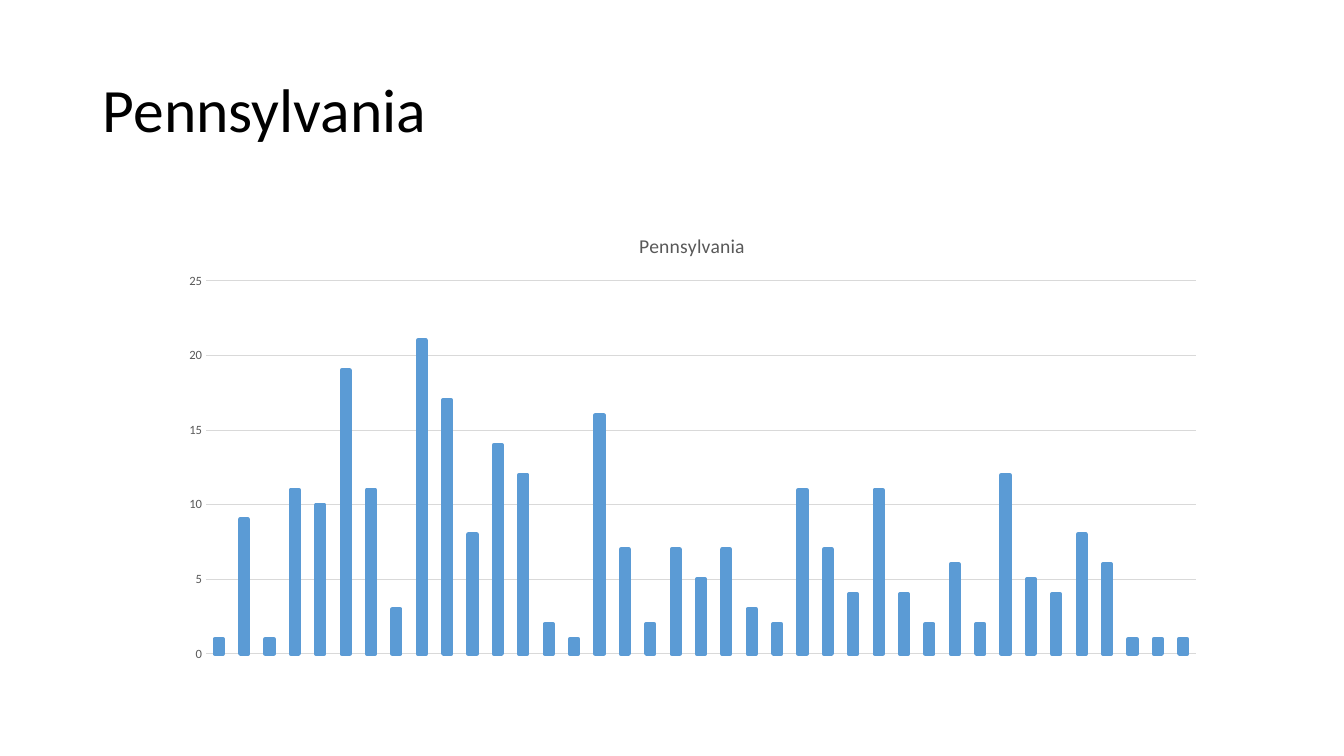
from lxml.etree import SubElement
from pptx import Presentation
from pptx.chart.data import CategoryChartData
from pptx.dml.color import RGBColor
from pptx.enum.chart import XL_CHART_TYPE, XL_TICK_MARK
from pptx.enum.text import MSO_ANCHOR
from pptx.oxml.ns import qn
from pptx.util import Pt

EMU_PER_PX = 914400 / 100.8
COLOURS = {"black": "000000", "grey": "595959", "grid": "D9D9D9", "bar": "5B9BD5"}
STATE = "Pennsylvania"
COUNTS = [1, 9, 1, 11, 10, 19, 11, 3, 21, 17, 8, 14, 12, 2, 1, 16, 7, 2, 7, 5,
          7, 3, 2, 11, 7, 4, 11, 4, 2, 6, 2, 12, 5, 4, 8, 6, 1, 1, 1]


def px(length):
    return round(length * EMU_PER_PX)


def colour(name):
    return RGBColor.from_string(COLOURS[name])


def style_font(font, size, name, face="Calibri"):
    font.size = Pt(size)
    font.name = face
    font.bold = False
    font.color.rgb = colour(name)


def write_text(frame, text, size, name, spacing=None):
    paragraph = frame.paragraphs[0]
    paragraph.line_spacing = spacing
    run = paragraph.add_run()
    run.text = text
    style_font(run.font, size, name)


class Deck:
    def __init__(self, width, height):
        self.presentation = Presentation()
        self.presentation.slide_width = px(width)
        self.presentation.slide_height = px(height)
        blank = self.presentation.slide_layouts[6]
        self.slide = self.presentation.slides.add_slide(blank)

    def heading(self, text, box):
        frame = self.slide.shapes.add_textbox(*map(px, box)).text_frame
        frame.word_wrap = True
        frame.vertical_anchor = MSO_ANCHOR.MIDDLE
        write_text(frame, text, size=44, name="black", spacing=0.9)

    def column_chart(self, title, values, box, plot_box):
        data = CategoryChartData()
        data.categories = [str(n) for n in range(1, len(values) + 1)]
        data.add_series("Series 1", values)
        chart = self.slide.shapes.add_chart(
            XL_CHART_TYPE.COLUMN_CLUSTERED, *map(px, box), data).chart
        style_font(chart.font, 10, "black")
        chart.has_legend = False
        chart.has_title = True
        write_text(chart.chart_title.text_frame, title, size=14, name="grey")
        chart.category_axis.visible = False
        self.style_value_axis(chart.value_axis)

        plot = chart.plots[0]
        plot.gap_width = 219
        plot.overlap = -27
        plot.vary_by_categories = False
        bars = plot.series[0].format
        bars.fill.solid()
        bars.fill.fore_color.rgb = colour("bar")
        bars.line.color.rgb = colour("bar")
        bars.line.width = Pt(3)
        self.place_plot(chart, box, plot_box)

    def style_value_axis(self, axis):
        axis.minimum_scale, axis.maximum_scale, axis.major_unit = 0, 25, 5
        axis.major_tick_mark = XL_TICK_MARK.NONE
        axis.minor_tick_mark = XL_TICK_MARK.NONE
        axis.format.line.fill.background()
        axis.major_gridlines.format.line.color.rgb = colour("grid")
        axis.major_gridlines.format.line.width = Pt(0.75)
        style_font(axis.tick_labels.font, 9, "grey")

    def place_plot(self, chart, box, plot_box):
        area = chart.element.find(".//" + qn("c:plotArea"))
        for default in area.findall(qn("c:layout")):
            area.remove(default)
        layout = SubElement(area, qn("c:layout"))
        area.insert(0, layout)
        manual = SubElement(layout, qn("c:manualLayout"))
        left, top, width, height = box
        x, y, w, h = plot_box
        settings = {"layoutTarget": "inner", "xMode": "edge", "yMode": "edge",
                    "x": (x - left) / width, "y": (y - top) / height,
                    "w": w / width, "h": h / height}
        for tag, value in settings.items():
            SubElement(manual, qn("c:" + tag)).set("val", str(value))

    def save(self):
        self.presentation.save("out.pptx")


def main():
    deck = Deck(1344, 756)
    deck.heading(STATE, (93, 40, 1159, 146))
    deck.column_chart(STATE, COUNTS, (168, 214, 1048, 457), (206, 281, 990, 373))
    deck.save()


if __name__ == "__main__":
    main()
